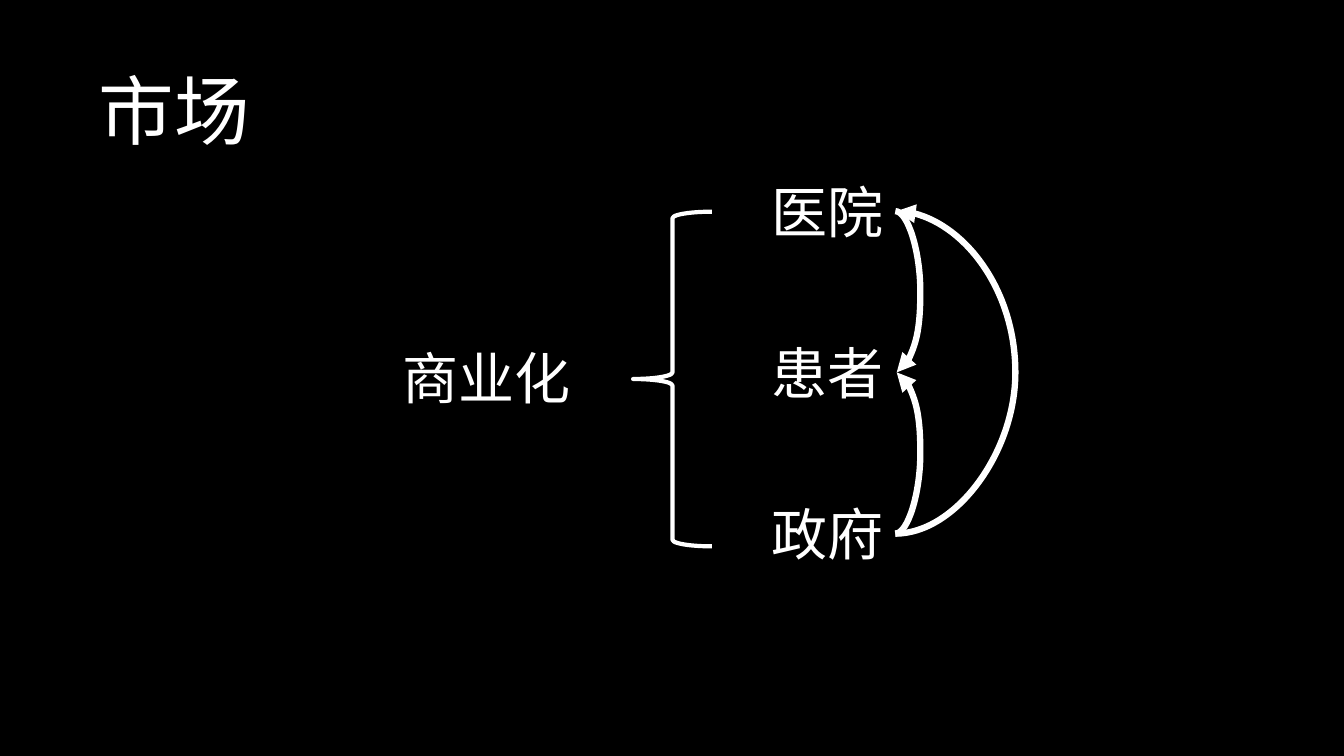
from dataclasses import dataclass

from lxml import etree
from pptx import Presentation
from pptx.dml.color import RGBColor
from pptx.enum.shapes import MSO_CONNECTOR as Conn, MSO_SHAPE as Shape
from pptx.enum.text import MSO_ANCHOR as Anchor, MSO_AUTO_SIZE as AutoSize, PP_ALIGN as Align
from pptx.oxml.ns import qn
from pptx.util import Inches, Pt

# Content
TITLE = "市场"
TOPIC = "商业化"
PARTIES = ["医院", "患者", "政府"]
# (from party, to party, bulge to the right in inches)
ARROWS = [(2, 1, 0.25), (0, 1, 0.25), (2, 0, 1.2)]


@dataclass(frozen=True)
class Theme:
    font: str = "Calibri"
    back: RGBColor = RGBColor(0, 0, 0)
    ink: RGBColor = RGBColor(255, 255, 255)
    title: int = 54
    body: int = 40
    brace: float = 3
    arrow: float = 4.5


T = Theme()

# Layout in inches
PARTY_X, PARTY_Y, PARTY_STEP = 7.55, 1.71, 1.6
PARTY_W, TEXT_H = 1.32, 0.77
ARROW_X = 8.88
TIP_SHIFT = Pt(1)


def write(sp, text, size=T.body, color=T.ink, align=Align.LEFT):
    tf = sp.text_frame
    tf.word_wrap = False
    tf.auto_size = AutoSize.SHAPE_TO_FIT_TEXT
    tf.vertical_anchor = Anchor.TOP
    p = tf.paragraphs[0]
    p.alignment = align
    r = p.add_run()
    r.text = text
    r.font.name, r.font.size = T.font, Pt(size)
    r.font.color.rgb = color


def label(slide, text, x, y, w):
    write(slide.shapes.add_textbox(Inches(x), Inches(y), Inches(w), Inches(TEXT_H)), text)


def curved_arrow(slide, y1, y2, bulge):
    x = Inches(ARROW_X)
    cx = slide.shapes.add_connector(Conn.CURVE, x, Inches(y1), x + TIP_SHIFT, Inches(y2))
    cx.line.color.rgb, cx.line.width = T.ink, Pt(T.arrow)
    etree.SubElement(cx.line._get_or_add_ln(), qn("a:tailEnd"), type="triangle")
    props = cx._element.spPr
    etree.SubElement(props, qn("a:effectLst"))
    # The bend is a share of the connector's width
    guides = props.find(qn("a:prstGeom")).find(qn("a:avLst"))
    share = round(Inches(bulge) / TIP_SHIFT * 100000)
    etree.SubElement(guides, qn("a:gd"), name="adj1", fmla=f"val {share}")


def main():
    prs = Presentation()
    prs.slide_width, prs.slide_height = Inches(13.33), Inches(7.5)
    slide = prs.slides.add_slide(prs.slide_layouts[5])
    slide.background.fill.solid()
    slide.background.fill.fore_color.rgb = T.back

    # Title
    title = slide.shapes.title
    title.left, title.top = Inches(0.88), Inches(0.58)
    title.width, title.height = Inches(1.72), Inches(1.01)
    write(title, TITLE, size=T.title)

    # Topic and brace
    label(slide, TOPIC, 3.89, 3.36, 1.88)
    brace = slide.shapes.add_shape(Shape.LEFT_BRACE, Inches(6.28), Inches(2.1),
                                   Inches(0.78), Inches(3.32))
    brace.shadow.inherit = False
    brace.fill.background()
    brace.line.color.rgb, brace.line.width = T.ink, Pt(T.brace)

    # Parties
    tops = [PARTY_Y + i * PARTY_STEP for i in range(len(PARTIES))]
    for name, top in zip(PARTIES, tops):
        label(slide, name, PARTY_X, top, PARTY_W)

    # Arrows between the parties
    middles = [top + TEXT_H / 2 for top in tops]
    for start, end, bulge in ARROWS:
        curved_arrow(slide, middles[start], middles[end], bulge)

    prs.save("out.pptx")


if __name__ == "__main__":
    main()
